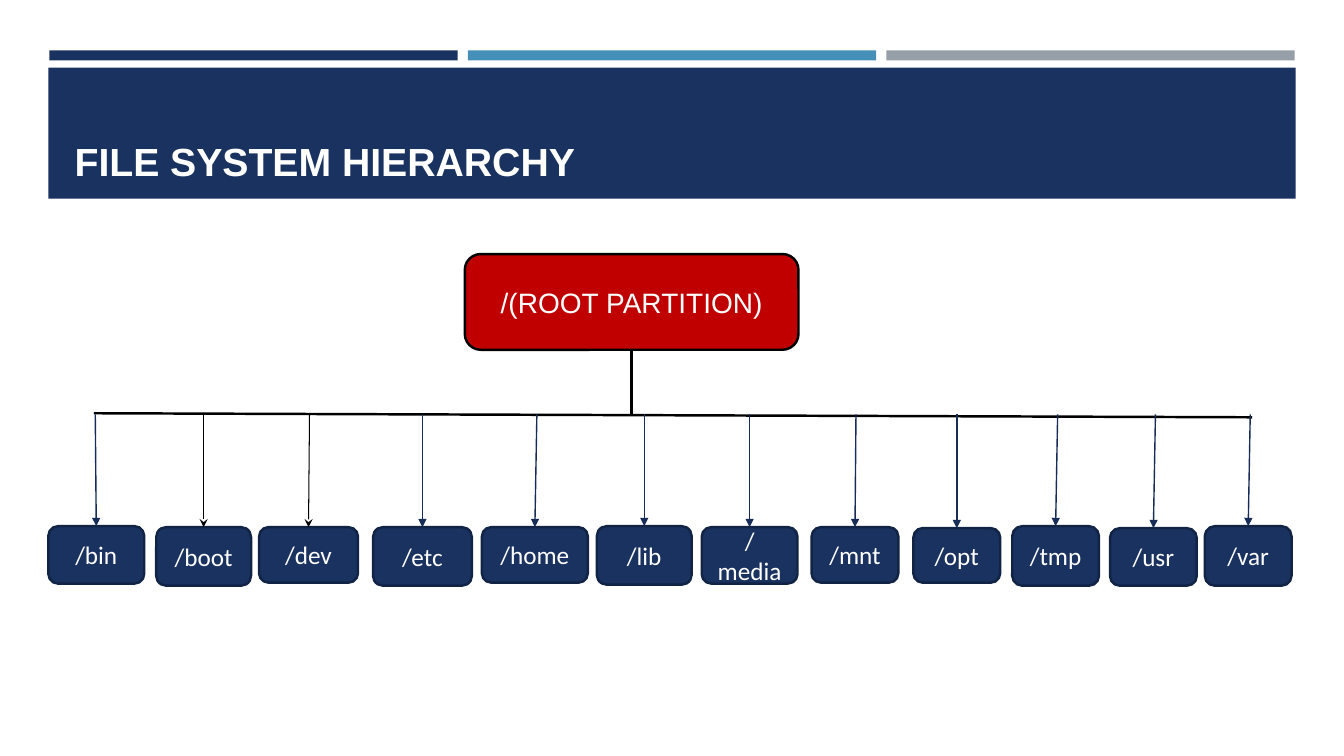
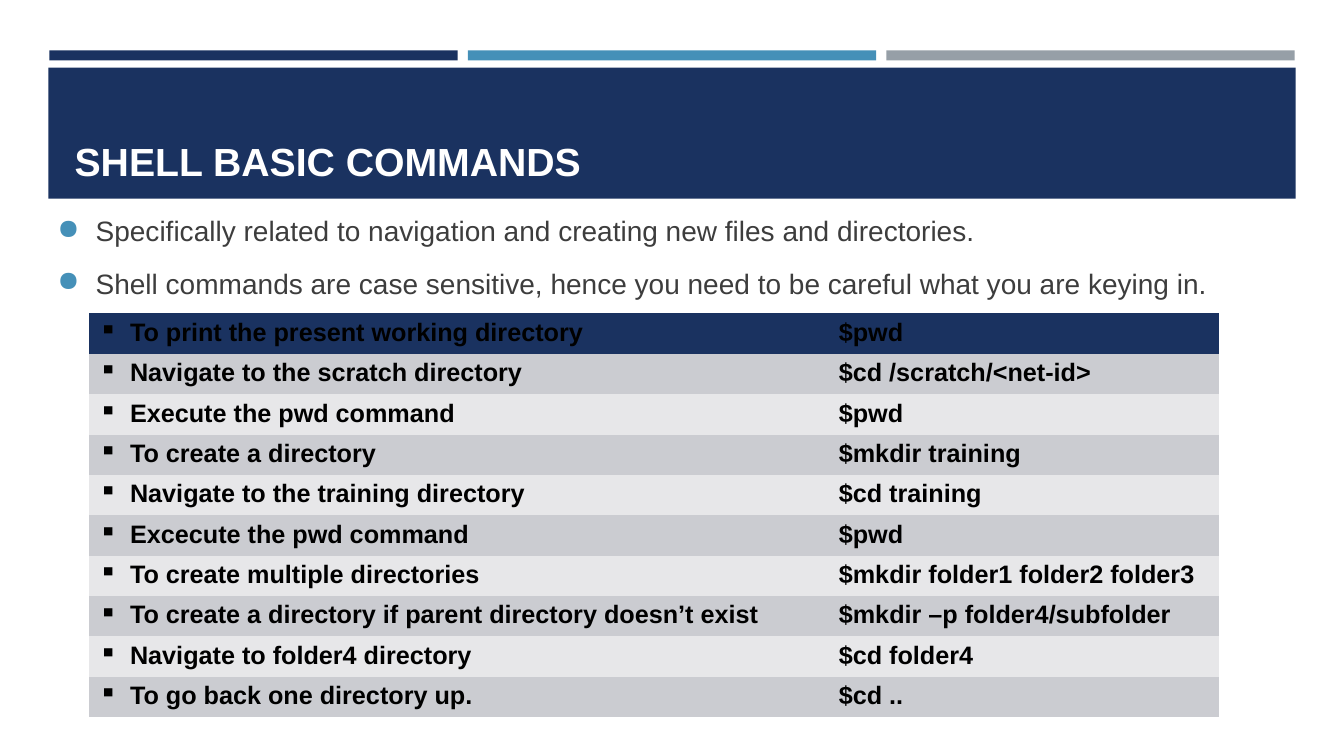
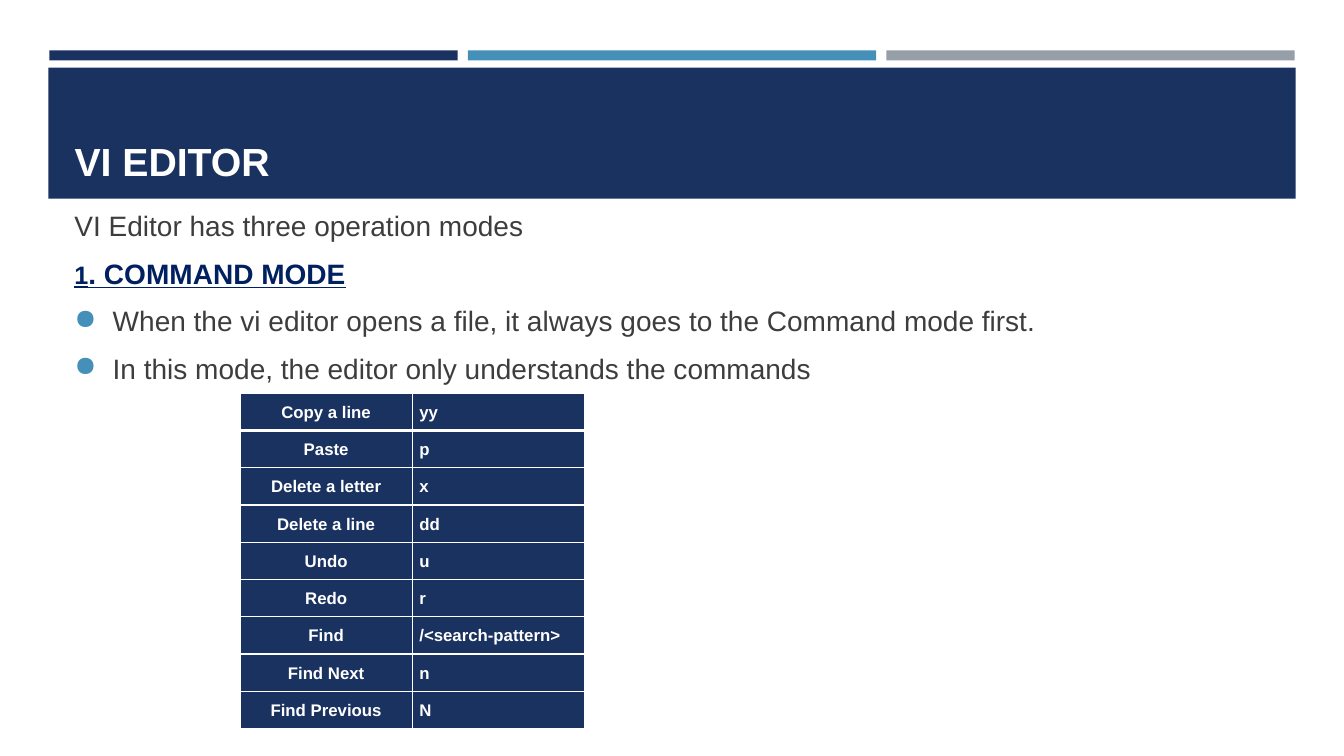
from lxml.etree import SubElement
from pptx import Presentation
from pptx.dml.color import RGBColor
from pptx.enum.shapes import MSO_CONNECTOR as CONNECTOR, MSO_SHAPE as SHAPE
from pptx.enum.text import MSO_ANCHOR as ANCHOR, MSO_AUTO_SIZE as AUTO_SIZE, PP_ALIGN as ALIGN
from pptx.oxml.ns import qn
from pptx.util import Inches, Pt

COLOURS = {
    "navy": "1A3260", "blue": "4590B8", "grey": "969FA7", "red": "C00000",
    "edge": "122446", "arrow": "172C56", "heading": "002060", "text": "3D3D3D",
    "dark_row": "CBCCD1", "light_row": "E7E7E9", "white": "FFFFFF", "black": "000000",
}
RGB = {name: RGBColor.from_string(value) for name, value in COLOURS.items()}

LOOKS = {
    "title": ("white", {"name": "Arial", "size": Pt(28), "bold": True}),
    "root": ("white", {"name": "Arial", "size": Pt(20)}),
    "folder": ("white", {"name": "Calibri", "size": Pt(18)}),
    "body": ("text", {"name": "Arial", "size": Pt(20)}),
    "number": ("heading", {"name": "Arial", "size": Pt(18), "bold": True, "underline": True}),
    "heading": ("heading", {"name": "Arial", "size": Pt(20), "bold": True, "underline": True}),
    "command": ("black", {"name": "Arial", "size": Pt(18), "bold": True}),
    "key": ("white", {"name": "Arial", "size": Pt(12), "bold": True}),
}
BULLETS = {"round": ("●", "blue", 0.38), "square": ("▪", "black", 0.31)}


def write(para, spans, bullet=None, **layout):
    for name, value in layout.items():
        setattr(para, name, value)
    for text, look in spans:
        span = para.add_run()
        span.text = text
        colour, formats = LOOKS[look]
        span.font.color.rgb = RGB[colour]
        for name, value in formats.items():
            setattr(span.font, name, value)
    if bullet:
        symbol, colour, indent = BULLETS[bullet]
        properties = para._p.get_or_add_pPr()
        properties.set("marL", str(Inches(indent)))
        properties.set("indent", str(-Inches(indent)))
        bullet_colour = SubElement(properties, qn("a:buClr"))
        SubElement(bullet_colour, qn("a:srgbClr"), val=COLOURS[colour])
        SubElement(properties, qn("a:buChar"), char=symbol)


def draw_line(page, begin, end, colour, width, head=None):
    line = page.shapes.add_connector(CONNECTOR.STRAIGHT, *begin, *end)
    line.line.color.rgb = RGB[colour]
    line.line.width = Pt(width)
    properties = line.element.spPr
    if head:
        SubElement(properties.find(qn("a:ln")), qn("a:tailEnd"), type=head)
    SubElement(properties, qn("a:effectLst"))
    return line


deck = Presentation()
deck.slide_width = Inches(13.33)
deck.slide_height = Inches(7.5)
title_only = deck.slide_layouts[5]

pages = []
for heading in ("FILE SYSTEM HIERARCHY", "SHELL BASIC COMMANDS", "VI EDITOR"):
    page = deck.slides.add_slide(title_only)
    title = page.shapes.title
    title.left, title.top, title.width, title.height = map(Inches, (0.64, 0.77, 12.06, 1.11))
    title.text_frame.auto_size = AUTO_SIZE.NONE
    title.text_frame.vertical_anchor = ANCHOR.BOTTOM
    write(title.text_frame.paragraphs[0], [(heading, "title")], alignment=ALIGN.LEFT)
    pages.append(page)
tree_page, command_page, editor_page = pages

bands = [(0.49 + 4.15 * column, 0.5, 4.05, 0.1, colour)
         for column, colour in enumerate(("navy", "blue", "grey"))]
bands.append((0.48, 0.67, 12.37, 1.3, "navy"))
for index, (left, top, width, height, colour) in enumerate(bands):
    band = tree_page.shapes.add_shape(SHAPE.RECTANGLE, *map(Inches, (left, top, width, height)))
    band.shadow.inherit = False
    band.fill.solid()
    band.fill.fore_color.rgb = RGB[colour]
    band.line.fill.background()
    band.element.nvSpPr.cNvPr.set("id", str(100 + index))
    title_only.shapes.element.insert(2 + index, band.element)

folders = [
    ("/bin", 0.48, 5.22, 0.95, 0.57, -0.01),
    ("/boot", 1.55, 5.23, 0.94, 0.58, 0),
    ("/dev", 2.57, 5.23, 0.98, 0.55, 0.01),
    ("/etc", 3.7, 5.23, 0.98, 0.58, 0),
    ("/home", 4.78, 5.23, 1.05, 0.55, 0.02),
    ("/lib", 5.92, 5.22, 0.94, 0.58, 0),
    ("/media", 6.96, 5.23, 0.95, 0.56, 0),
    ("/mnt", 8.05, 5.23, 0.86, 0.55, 0.01),
    ("/opt", 9.06, 5.24, 0.86, 0.54, 0),
    ("/tmp", 10.04, 5.22, 0.86, 0.59, 0.02),
    ("/usr", 11.01, 5.24, 0.86, 0.57, 0.02),
    ("/var", 11.95, 5.22, 0.86, 0.59, 0.02),
]
root_name = "/(ROOT PARTITION)"
boxes = {}
for name, left, top, width, height, lean in [(root_name, 4.61, 2.52, 3.31, 0.95, 0)] + folders:
    is_root = name == root_name
    box = tree_page.shapes.add_shape(
        SHAPE.ROUNDED_RECTANGLE, *map(Inches, (left, top, width, height)))
    box.shadow.inherit = False
    box.fill.solid()
    box.fill.fore_color.rgb = RGB["red" if is_root else "navy"]
    box.line.color.rgb = RGB["black" if is_root else "edge"]
    box.line.width = Pt(1.75)
    box.text_frame.vertical_anchor = ANCHOR.MIDDLE
    write(box.text_frame.paragraphs[0], [(name, "root" if is_root else "folder")],
          alignment=ALIGN.CENTER)
    boxes[name] = box

draw_line(tree_page, (Inches(0.93), Inches(4.1)), (Inches(12.42), Inches(4.14)), "black", 1.75)
root = boxes[root_name]
trunk_x = root.left + root.width // 2
trunk = draw_line(tree_page, (trunk_x, root.top + root.height), (trunk_x, Inches(4.12)),
                  "black", 1.75)
trunk.begin_connect(root, 2)
for name, left, top, width, height, lean in folders:
    box = boxes[name]
    centre = box.left + box.width // 2
    style = ("black", 0.75, "stealth") if name in ("/boot", "/dev") else ("arrow", 1, "triangle")
    branch = draw_line(tree_page, (centre + Inches(lean), Inches(4.11)), (centre, box.top), *style)
    branch.end_connect(box, 0)

bullet_layout = {"bullet": "round", "space_before": Pt(10)}
bodies = [
    (command_page, (0.47, 2.02, 12.39, 1.05), [
        ([("Specifically related to navigation and creating new files and directories.", "body")],
         {"bullet": "round", "line_spacing": 1.15}),
        ([("Shell commands are case sensitive, hence you need to be careful what you are keying in.",
           "body")], {**bullet_layout, "line_spacing": 1.15}),
    ]),
    (editor_page, (0.64, 2.02, 12.06, 1.85), [
        ([("VI Editor has three operation modes", "body")], {}),
        ([("1", "number"), (". COMMAND MODE", "heading")], {"space_before": Pt(10)}),
        ([("When the vi editor opens a file, it always goes to the Command mode first.", "body")],
         bullet_layout),
        ([("In this mode, the editor only understands the commands", "body")], bullet_layout),
    ]),
]
for page, place, paragraphs in bodies:
    frame = page.shapes.add_textbox(*map(Inches, place)).text_frame
    frame.word_wrap = True
    for index, (spans, layout) in enumerate(paragraphs):
        para = frame.add_paragraph() if index else frame.paragraphs[0]
        write(para, spans, **layout)

commands = [
    ("To print the present working directory", "$pwd"),
    ("Navigate to the scratch directory", "$cd /scratch/<net-id>"),
    ("Execute the pwd command", "$pwd"),
    ("To create a directory", "$mkdir training"),
    ("Navigate to the training directory", "$cd training"),
    ("Excecute the pwd command", "$pwd"),
    ("To create multiple directories", "$mkdir folder1 folder2 folder3"),
    ("To create a directory if parent directory doesn’t exist", "$mkdir –p folder4/subfolder"),
    ("Navigate to folder4 directory", "$cd folder4"),
    ("To go back one directory up.", "$cd .."),
]
keys = [
    ("Copy a line", "yy"),
    ("Paste", "p"),
    ("Delete a letter", "x"),
    ("Delete a line", "dd"),
    ("Undo", "u"),
    ("Redo", "r"),
    ("Find", "/<search-pattern>"),
    ("Find Next", "n"),
    ("Find Previous", "N"),
]
tables = [
    {"page": command_page, "rows": commands, "left": 0.88, "top": 3.11, "columns": (7.34, 3.87),
     "row_height": 0.37, "margins": (0.1, 0.05), "look": "command", "bordered": False,
     "fills": ("dark_row", "light_row"),
     "layouts": ({"bullet": "square"}, {})},
    {"page": editor_page, "rows": keys, "left": 2.38, "top": 3.9, "columns": (1.71, 1.71),
     "row_height": 0.35, "margins": (0.07, 0.07), "look": "key", "bordered": True,
     "fills": ("navy", "navy"),
     "layouts": ({"alignment": ALIGN.CENTER, "line_spacing": 1.15}, {"line_spacing": 1.15})},
]
for plan in tables:
    rows, columns = plan["rows"], plan["columns"]
    holder = plan["page"].shapes.add_table(
        len(rows), len(columns), Inches(plan["left"]), Inches(plan["top"]),
        Inches(sum(columns)), Inches(plan["row_height"] * len(rows)))
    holder.element.xpath(".//a:tableStyleId")[0].text = "{2D5ABB26-0587-4C30-8999-92F81FD0307C}"
    table = holder.table
    table.first_row = table.horz_banding = False
    for column, width in zip(table.columns, columns):
        column.width = Inches(width)
    side, edge = map(Inches, plan["margins"])
    for row_index, texts in enumerate(rows):
        table.rows[row_index].height = Inches(plan["row_height"])
        for column_index, text in enumerate(texts):
            cell = table.cell(row_index, column_index)
            cell.margin_left = cell.margin_right = side
            cell.margin_top = cell.margin_bottom = edge
            if plan["bordered"]:
                for border in ("lnL", "lnR", "lnT", "lnB"):
                    thick = (row_index, border) in ((0, "lnB"), (1, "lnT"))
                    line = SubElement(cell._tc.get_or_add_tcPr(), qn("a:" + border),
                                      w=str(Pt(3 if thick else 1)))
                    fill = SubElement(line, qn("a:solidFill"))
                    SubElement(fill, qn("a:srgbClr"), val=COLOURS["white"])
            cell.fill.solid()
            colour = plan["fills"][(row_index - 1) % 2] if row_index else "navy"
            cell.fill.fore_color.rgb = RGB[colour]
            write(cell.text_frame.paragraphs[0], [(text, plan["look"])],
                  **plan["layouts"][column_index])

deck.save("out.pptx")
